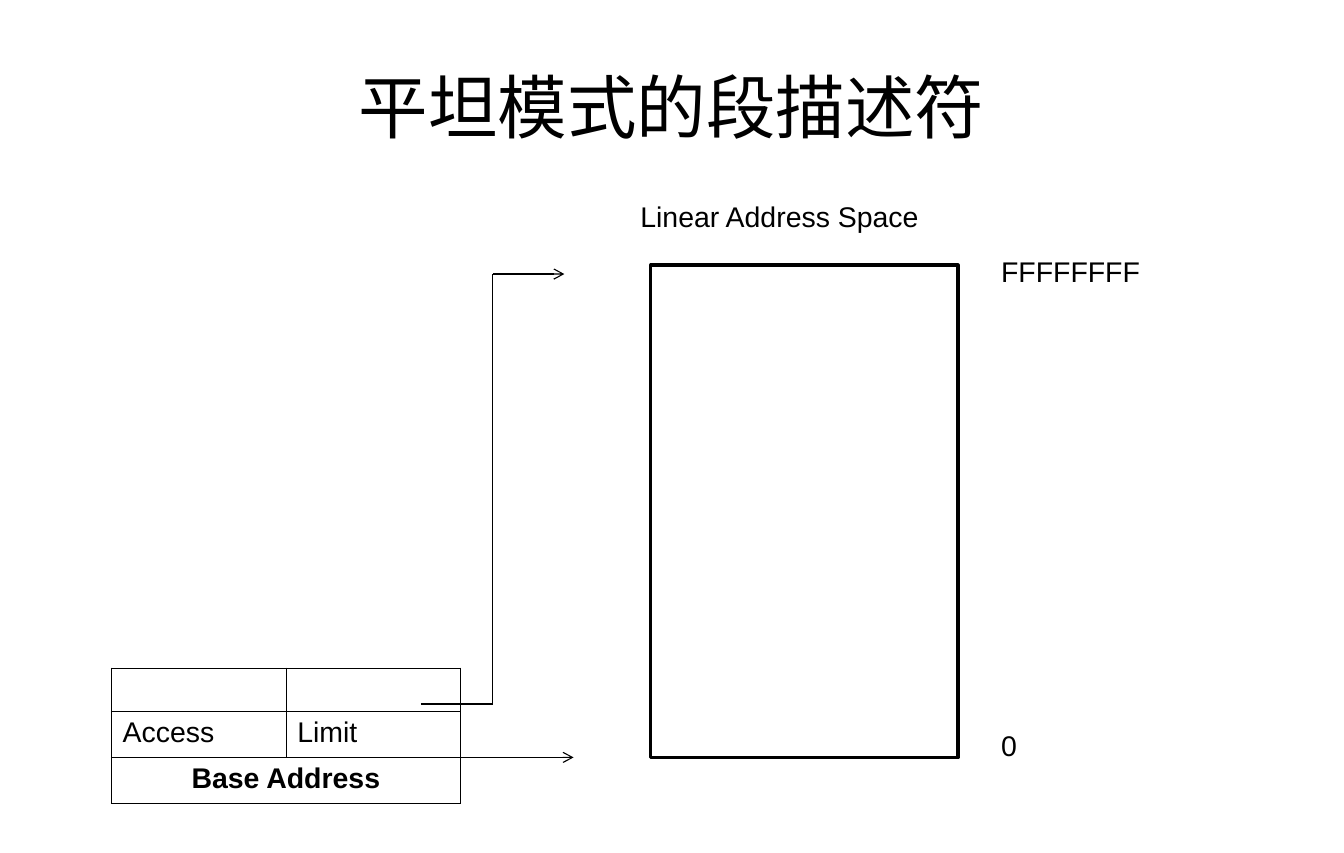
from lxml import etree
from pptx import Presentation
from pptx.dml.color import RGBColor
from pptx.enum import shapes, text
from pptx.oxml import ns
from pptx.util import Pt

BLACK = "000000"
LEFT, CENTER = text.PP_ALIGN.LEFT, text.PP_ALIGN.CENTER


def color(hex_value):
    return RGBColor.from_string(hex_value)


def sub(parent, tag, **attrs):
    return etree.SubElement(parent, ns.qn(tag), attrs)


def write(tf, words, align=LEFT, **formats):
    p = tf.paragraphs[0]
    p.alignment = align
    r = p.add_run()
    r.text = words
    formats = {"name": "Arial", "size": Pt(18), "bold": False, **formats}
    for name, value in formats.items():
        setattr(r.font, name, value)
    r.font.color.rgb = color(BLACK)


def add_text(slide, box, words, anchor=text.MSO_ANCHOR.TOP, **formats):
    tf = slide.shapes.add_textbox(*map(Pt, box)).text_frame
    tf.word_wrap = True
    tf.vertical_anchor = anchor
    write(tf, words, **formats)


def add_line(slide, start, end, arrow=False):
    sp = slide.shapes.add_connector(
        shapes.MSO_CONNECTOR.STRAIGHT, *map(Pt, (*start, *end)))
    sp.line.color.rgb = color(BLACK)
    sp.line.width = Pt(0.75)
    if arrow:
        sub(sp.line._get_or_add_ln(), "a:tailEnd", type="arrow")
    sub(sp._element.spPr, "a:effectLst")


def add_borders(cell, width):
    tc_pr = cell._tc.get_or_add_tcPr()
    for i, side in enumerate(("a:lnL", "a:lnR", "a:lnT", "a:lnB")):
        ln = etree.Element(ns.qn(side), w=str(Pt(width)))
        sub(sub(ln, "a:solidFill"), "a:srgbClr", val=BLACK)
        tc_pr.insert(i, ln)


# Segment descriptor: an empty row, access and limit, then the base address
def descriptor(slide, x, y, w, h):
    table = slide.shapes.add_table(3, 2, *map(Pt, (x, y, w, h))).table
    table.first_row = table.horz_banding = False
    for column in table.columns:
        column.width = Pt(w / 2)
    for row, share in zip(table.rows, (0.32, 0.34, 0.34)):
        row.height = Pt(h * share)
    for cell in table.iter_cells():
        cell.fill.background()
        add_borders(cell, 0.45)
    for cell in table.rows[0].cells:
        cell.margin_top = cell.margin_bottom = 0
    table.cell(2, 0).merge(table.cell(2, 1))
    write(table.cell(1, 0).text_frame, "Access")
    write(table.cell(1, 1).text_frame, "Limit")
    write(table.cell(2, 0).text_frame, "Base Address", CENTER, bold=True)


# Arrows from the descriptor: limit to the top, base address to the bottom
def pointers(slide, x, y, w, h):
    bend, limit_y, base_y = x + 45.4, y + h - 33.8, y + h
    add_line(slide, (x, base_y), (x + w, base_y), arrow=True)
    add_line(slide, (x, limit_y), (bend, limit_y))
    add_line(slide, (bend, limit_y), (bend, y))
    add_line(slide, (bend, y), (x + w - 5.8, y), arrow=True)


# Address space: a tall frame with a caption and its end addresses
def address_space(slide, x, y, w, h):
    sp = slide.shapes.add_shape(
        shapes.MSO_SHAPE.RECTANGLE, *map(Pt, (x, y, w, h)))
    sp.shadow.inherit = False
    sp.fill.background()
    sp.line.color.rgb = color(BLACK)
    sp.line.width = Pt(2)
    label_x = x + w + 20.2
    add_text(slide, (label_x, y - 10.8, 127.4, 28.8), "FFFFFFFF")
    add_text(slide, (label_x, y + h - 22.4, 120.2, 28.8), "0")
    add_text(slide, (x - 13.7, y - 45.4, 234.7, 28.8), "Linear Address Space")


def title(slide, x, y, w, h):
    add_text(slide, (x, y, w, h), "平坦模式的段描述符",
             anchor=text.MSO_ANCHOR.MIDDLE, align=CENTER, size=Pt(44))


def main():
    prs = Presentation()
    prs.slide_width, prs.slide_height = Pt(850.4), Pt(540)
    slide = prs.slides.add_slide(prs.slide_layouts[6])
    title(slide, 42.5, 21.6, 765.4, 90)
    descriptor(slide, 70.4, 422.8, 221, 85.5)
    address_space(slide, 411.8, 167.8, 194.4, 311.8)
    pointers(slide, 266.4, 173.5, 96.5, 306)
    prs.save("out.pptx")


if __name__ == "__main__":
    main()
